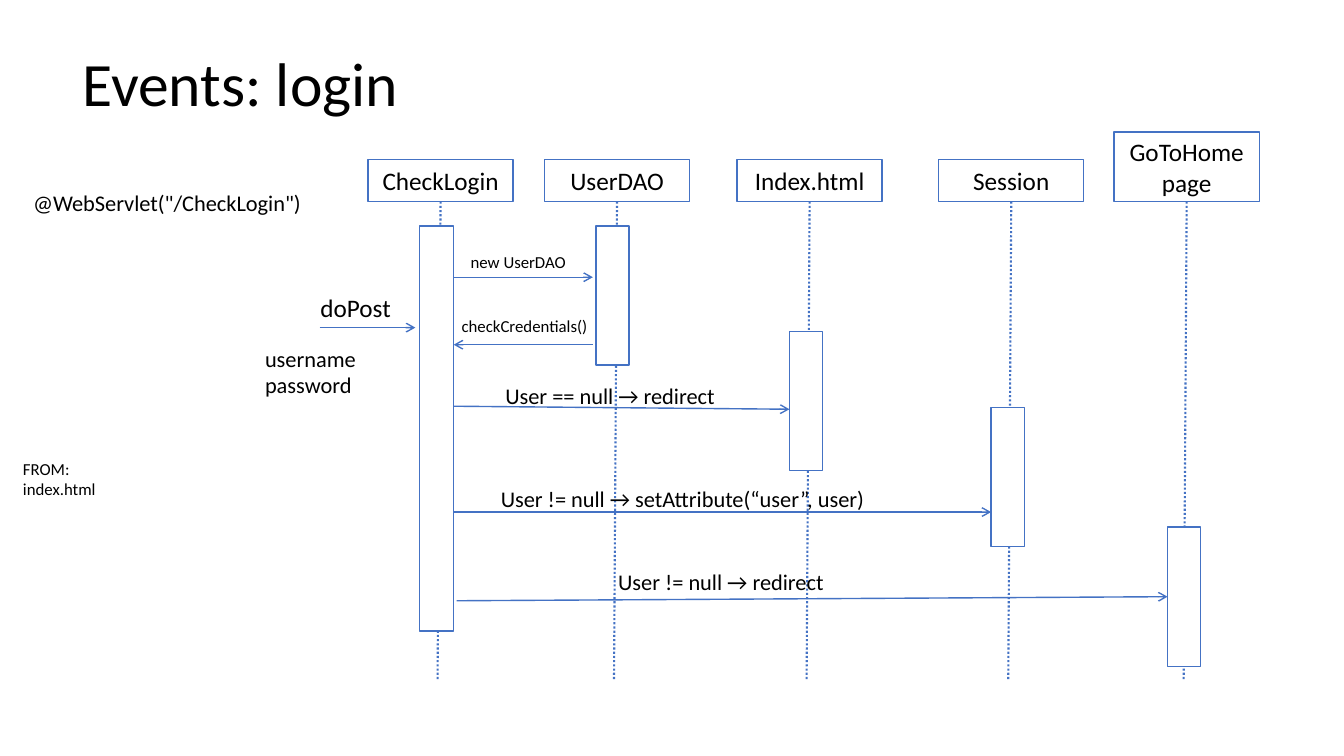
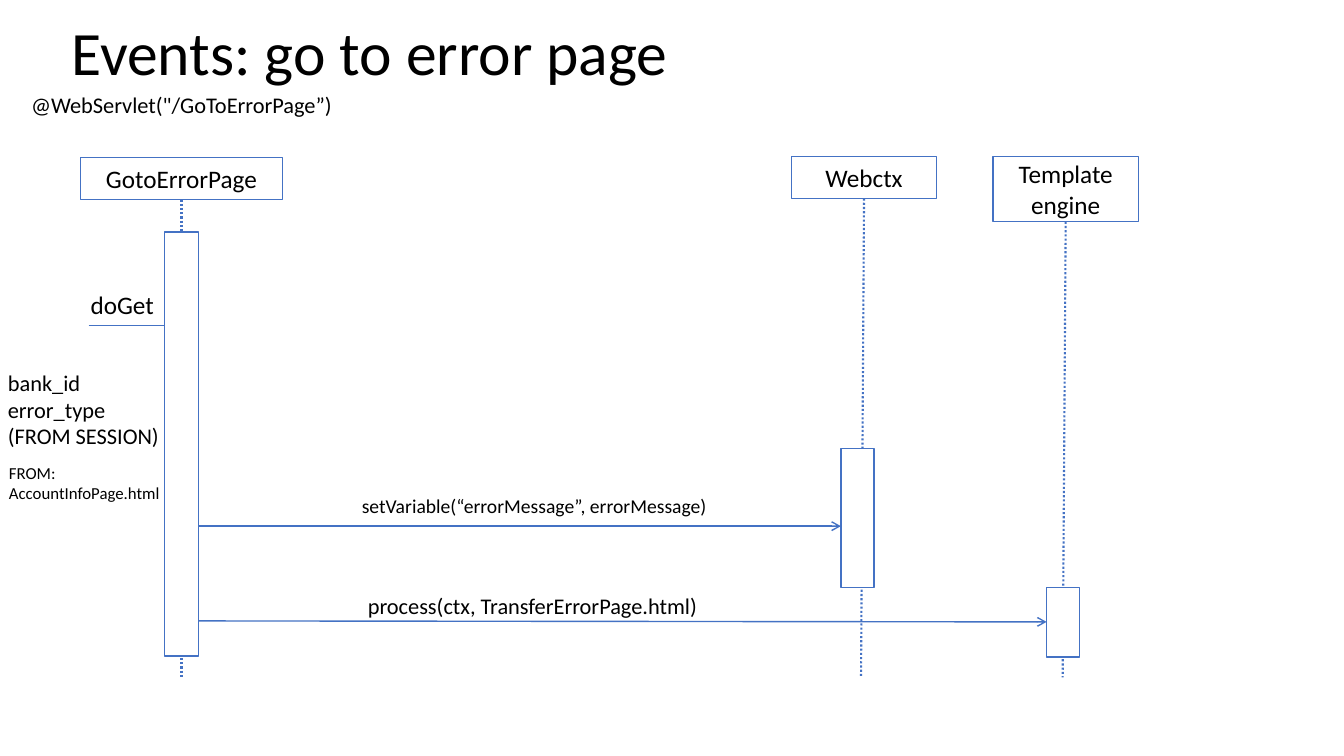
from dataclasses import dataclass

from pptx import Presentation
from pptx.dml.color import RGBColor
from pptx.enum.dml import MSO_LINE
from pptx.enum.shapes import MSO_CONNECTOR, MSO_SHAPE
from pptx.enum.text import MSO_ANCHOR, PP_ALIGN
from pptx.oxml.ns import qn
from pptx.util import Emu, Pt
from lxml import etree

# Shared style
BLUE = RGBColor(0x44, 0x72, 0xC4)
WHITE = RGBColor(0xFF, 0xFF, 0xFF)
BLACK = RGBColor(0x00, 0x00, 0x00)
FONT = "Calibri"
TITLE_SIZE, HEADER_SIZE = 44, 18
RECT = MSO_SHAPE.RECTANGLE
STRAIGHT = MSO_CONNECTOR.STRAIGHT
DOTTED = MSO_LINE.ROUND_DOT
MIDDLE, TOP = MSO_ANCHOR.MIDDLE, MSO_ANCHOR.TOP
LEFT, CENTER = PP_ALIGN.LEFT, PP_ALIGN.CENTER

# Geometry: 100 px to the inch
EMU_PER_PX = 9144
SLIDE_W, SLIDE_H = 1333, 750
BAR_W = 33


def px(n: int) -> Emu:
    return Emu(n * EMU_PER_PX)


@dataclass(frozen=True)
class Box:
    x: int
    y: int
    w: int
    h: int


@dataclass(frozen=True)
class Participant:
    name: str
    header: Box
    bar: Box
    lean: int = -3  # sideways drift of the lifeline


@dataclass(frozen=True)
class Message:
    x1: int
    y1: int
    x2: int
    y2: int


@dataclass(frozen=True)
class Label:
    text: str
    box: Box
    size: int
    wrap: bool = True
    align: PP_ALIGN = LEFT


@dataclass(frozen=True)
class Diagram:
    title: str
    title_box: Box
    lifeline_end: int
    participants: list[Participant]
    entry: Message
    messages: list[Message]
    labels: list[Label]


def write(tf, text: str, size: int, align: PP_ALIGN, anchor: MSO_ANCHOR,
          wrap: bool = True, spacing: float = 1.0) -> None:
    tf.word_wrap = wrap
    tf.vertical_anchor = anchor
    for i, line in enumerate(text.split("\n")):
        p = tf.paragraphs[0] if i == 0 else tf.add_paragraph()
        p.alignment = align
        p.line_spacing = spacing
        r = p.add_run()
        r.text = line
        r.font.name = FONT
        r.font.size = Pt(size)
        r.font.color.rgb = BLACK


def add_text(s, label: Label, anchor: MSO_ANCHOR = TOP, spacing: float = 1.0) -> None:
    b = label.box
    sp = s.shapes.add_textbox(px(b.x), px(b.y), px(b.w), px(b.h))
    write(sp.text_frame, label.text, label.size, label.align, anchor, label.wrap, spacing)


def add_rect(s, b: Box, text: str = "") -> None:
    sp = s.shapes.add_shape(RECT, px(b.x), px(b.y), px(b.w), px(b.h))
    sp.shadow.inherit = False
    sp.fill.solid()
    sp.fill.fore_color.rgb = WHITE
    sp.line.color.rgb = BLUE
    sp.line.width = Pt(1)
    if text:
        write(sp.text_frame, text, HEADER_SIZE, CENTER, MIDDLE)


def add_line(s, m: Message, dotted: bool = False) -> None:
    """Draw a dotted lifeline or a solid arrow."""
    sp = s.shapes.add_connector(STRAIGHT, px(m.x1), px(m.y1), px(m.x2), px(m.y2))
    sp.line.color.rgb = BLUE
    sp.line.width = Pt(1.5 if dotted else 1)
    if dotted:
        sp.line.dash_style = DOTTED
    else:
        etree.SubElement(sp.line._get_or_add_ln(), qn("a:tailEnd"), type="arrow")
    etree.SubElement(sp._element.spPr, qn("a:effectLst"))


def add_diagram(prs, d: Diagram) -> None:
    s = prs.slides.add_slide(prs.slide_layouts[6])
    add_text(s, Label(d.title, d.title_box, TITLE_SIZE), MIDDLE, 0.9)
    # Headers and lifelines
    for part in d.participants:
        h = part.header
        add_rect(s, h, part.name)
        x = h.x + h.w // 2
        add_line(s, Message(x, h.y + h.h, x + part.lean, d.lifeline_end), dotted=True)
    # The entry arrow runs behind the activation bars
    add_line(s, d.entry)
    for part in d.participants:
        add_rect(s, part.bar)
    for message in d.messages:
        add_line(s, message)
    for label in d.labels:
        add_text(s, label)


LOGIN = Diagram(
    "Events: login", Box(72, 13, 1150, 145), 675,
    participants=[
        Participant("CheckLogin", Box(365, 158, 144, 42), Box(416, 224, 34, 402)),
        Participant("UserDAO", Box(540, 158, 144, 42), Box(591, 224, BAR_W, 138)),
        Participant("Index.html", Box(731, 158, 144, 42), Box(783, 329, BAR_W, 138)),
        Participant("Session", Box(931, 158, 144, 42), Box(983, 404, BAR_W, 138)),
        Participant("GoToHomepage", Box(1105, 131, 144, 69), Box(1158, 523, BAR_W, 138)),
    ],
    entry=Message(317, 325, 412, 325),
    messages=[
        Message(450, 275, 588, 275),
        Message(588, 342, 450, 342),
        Message(450, 403, 783, 406),
        Message(450, 508, 983, 508),
        Message(453, 596, 1158, 592),
    ],
    labels=[
        Label("doPost", Box(308, 285, 91, 40), 18, wrap=False),
        Label("new UserDAO", Box(457, 245, 116, 30), 12, wrap=False),
        Label("checkCredentials()", Box(448, 308, 253, 30), 12),
        Label("User == null → redirect", Box(459, 374, 292, 37), 16, align=CENTER),
        Label("User != null → setAttribute(“user”, user)", Box(483, 476, 388, 37), 16,
              wrap=False, align=CENTER),
        Label("User != null → redirect", Box(601, 559, 228, 37), 16,
              wrap=False, align=CENTER),
        Label('@WebServlet("/CheckLogin")', Box(23, 183, 327, 37), 16),
        Label("FROM:\nindex.html", Box(13, 450, 146, 50), 12),
        Label("username\npassword", Box(253, 337, 111, 64), 16, wrap=False),
    ],
)

ERROR_PAGE = Diagram(
    "Events: go to error page", Box(61, -17, 1133, 145), 672,
    participants=[
        Participant("GotoErrorPage", Box(80, 156, 200, 42), Box(163, 230, 34, 421), lean=0),
        Participant("Webctx", Box(785, 155, 144, 42), Box(834, 445, BAR_W, 138)),
        Participant("Template engine", Box(985, 155, 144, 65), Box(1038, 583, BAR_W, 69)),
    ],
    entry=Message(88, 323, 184, 323),
    messages=[
        Message(197, 522, 834, 522),
        Message(197, 616, 1038, 617),
    ],
    labels=[
        Label("doGet", Box(80, 282, 84, 40), 18, wrap=False),
        Label("setVariable(“errorMessage”, errorMessage)", Box(349, 485, 390, 34), 14),
        Label("process(ctx, TransferErrorPage.html)", Box(355, 583, 356, 37), 16),
        Label('@WebServlet("/GoToErrorPage”)', Box(21, 86, 352, 37), 16),
        Label("bank_id\nerror_type\n(FROM SESSION)", Box(-2, 361, 180, 118), 16),
        Label("FROM:\nAccountInfoPage.html", Box(-1, 454, 182, 50), 12),
    ],
)


def main() -> None:
    prs = Presentation()
    prs.slide_width, prs.slide_height = px(SLIDE_W), px(SLIDE_H)
    for diagram in (LOGIN, ERROR_PAGE):
        add_diagram(prs, diagram)
    prs.save("out.pptx")


if __name__ == "__main__":
    main()
